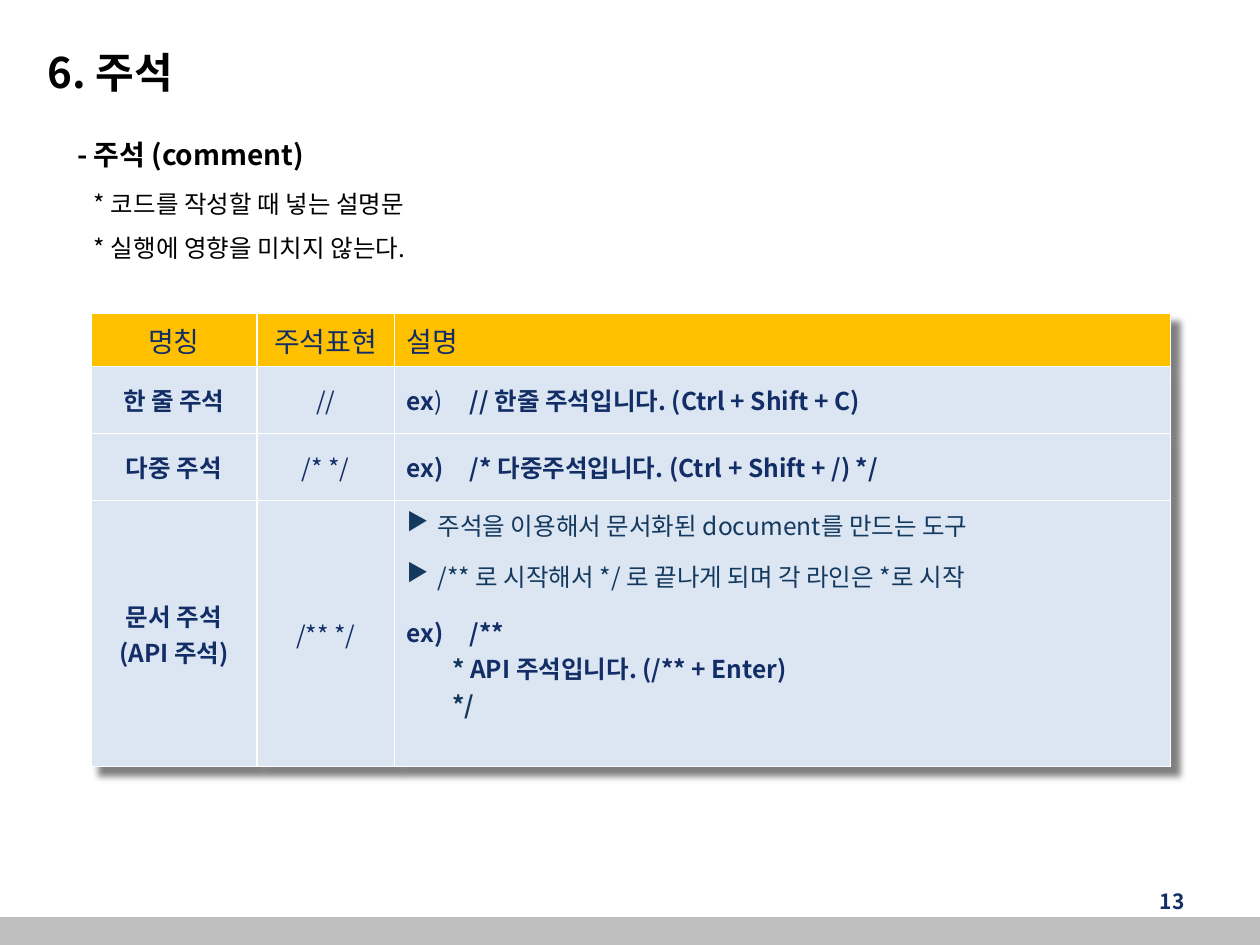
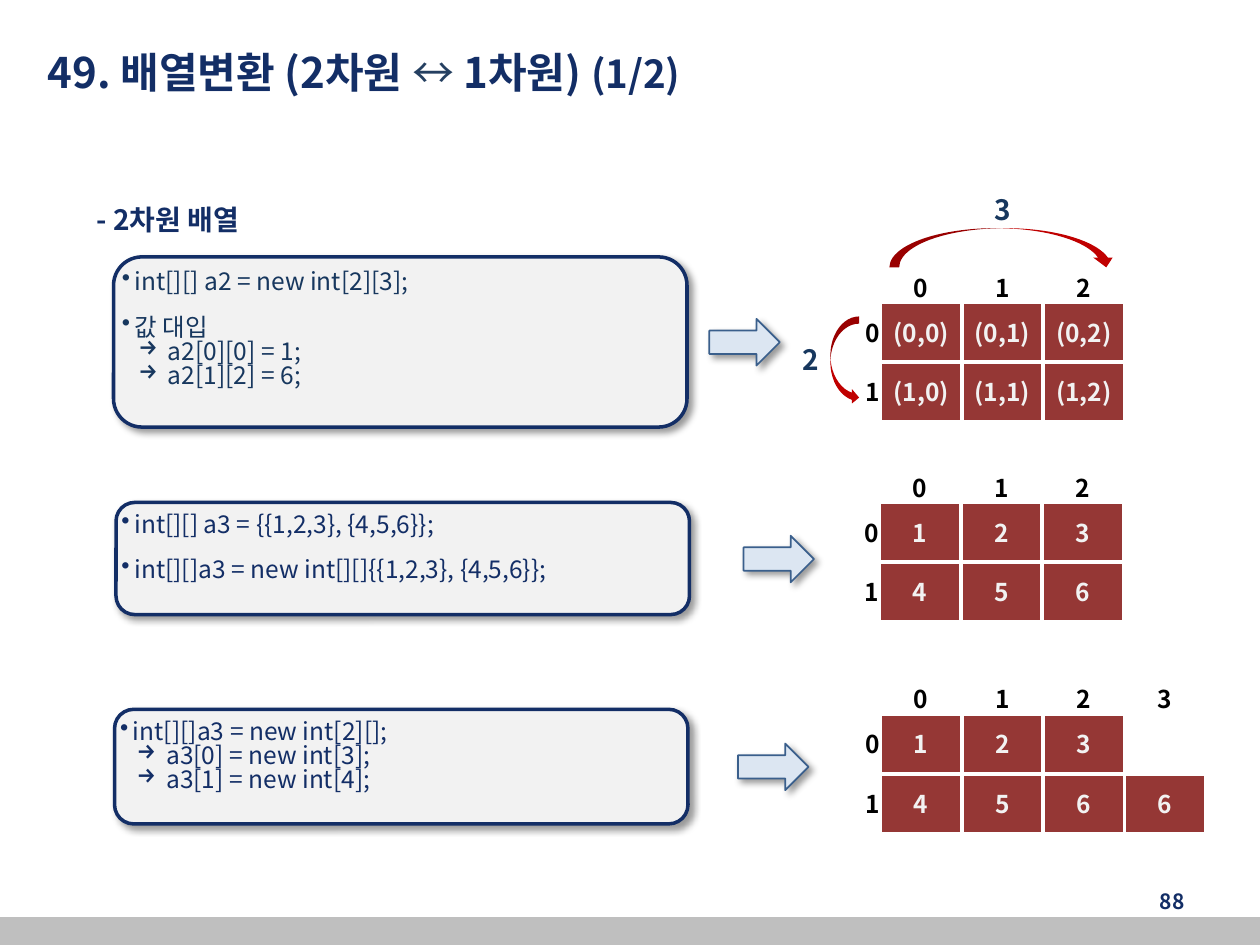
from lxml import etree
from pptx import Presentation, util as u
from pptx.dml import color as dml
from pptx.enum import shapes, text
from pptx.oxml import ns

FONT = "Noto Sans CJK KR"
COLORS = {
    "navy": "132E66", "ink": "17375E", "slate": "14395E", "steel": "254061",
    "black": "000000", "white": "FFFFFF", "pale": "F2F2F2", "band": "BFBFBF",
    "gold": "FFC000", "ice": "DCE6F2", "edge": "3A5F8C", "brick": "953735", "red": "C00000",
}
LEFT, CENTER, RIGHT = text.PP_ALIGN.LEFT, text.PP_ALIGN.CENTER, text.PP_ALIGN.RIGHT
TOP, MIDDLE = text.MSO_ANCHOR.TOP, text.MSO_ANCHOR.MIDDLE
SHAPE = shapes.MSO_SHAPE

BAND = (0, 18.49, 25.4, 0.56)
NUMBER = (18.21, 17.65, 5.92, 1.02)
TITLE = (0.71, 0.33, 18.21, 2.21)

COMMENT_TITLE = [("6. 주석", {"color": "black"})]
COMMENT_BODY = (1.3, 2.72, 22.86, 3.4)
COMMENT_NOTES = [
    {"text": "- 주석 (comment)", "size": 16, "bold": True},
    {"text": "* 코드를 작성할 때 넣는 설명문", "left": 0.34, "before": 12},
    {"text": "* 실행에 영향을 미치지 않는다.", "left": 0.34, "before": 10},
]
TABLE_AT = (1.83, 6.32)
COLUMN_WIDTHS = [3.35, 2.77, 15.65]
ROW_HEIGHTS = [1.07, 1.35, 1.35, 5.36]
EXAMPLE_TAB = 1.07
TOOL_BULLET = {"bullet": "▶", "left": 0.62, "hang": 0.62, "color": "slate", "bold": False}
COMMENT_ROWS = [
    [["명칭"], ["주석표현"], ["설명"]],
    [["한 줄 주석"], ["//"], [
        {"text": [("ex", {}), (")\t", {"bold": False}),
                  ("// 한줄 주석입니다. (Ctrl + Shift + C)", {})], "tab": EXAMPLE_TAB}]],
    [["다중 주석"], ["/* */"], [
        {"text": "ex)\t/* 다중주석입니다. (Ctrl + Shift + /) */", "tab": EXAMPLE_TAB}]],
    [["문서 주석", "(API 주석)"], ["/** */"], [
        {"text": "주석을 이용해서 문서화된 document를 만드는 도구", **TOOL_BULLET},
        {"text": "/** 로 시작해서 */ 로 끝나게 되며 각 라인은 *로 시작", "before": 9, **TOOL_BULLET},
        {"text": "ex)\t/**", "tab": EXAMPLE_TAB, "before": 11.5},
        {"text": [("* ", {"color": "slate"}), ("API 주석입니다. (/** + Enter)", {})], "left": 0.91},
        {"text": "*/", "left": 0.91, "color": "slate"}]],
]

ARRAY_TITLE = [
    ("49. 배열변환 (2차원 ", {}),
    ("↔ ", {"color": "steel", "bold": False}),
    ("1차원) ", {}),
    ("(1/2)", {"size": 22}),
]
ARRAY_HEADING = (1.7, 3.96, 8.41, 0.94)
CELL_WIDTH, CELL_HEIGHT = 1.64, 1.2
ROW_LABEL_WIDTH, COLUMN_LABEL_HEIGHT = 0.43, 0.61
ARROW_SIZE = (1.42, 0.94)
DOT = {"bullet": "•", "left": 0.26, "hang": 0.26}
STEP = {"bullet": "→", "left": 0.93, "hang": 0.59}
ARRAY_EXAMPLES = [
    {"box": (2.29, 5.18, 11.56, 3.43), "arrow": (14.3, 6.43), "grid": (17.75, 6.1), "color": "ink",
     "code": [{"text": "int[][] a2 = new int[2][3];", **DOT},
              {"text": "값 대입", "before": 12, **DOT},
              {"text": "a2[0][0] = 1;", **STEP},
              {"text": "a2[1][2] = 6;", **STEP}],
     "values": [["(0,0)", "(0,1)", "(0,2)"], ["(1,0)", "(1,1)", "(1,2)"]]},
    {"box": (2.34, 10.13, 11.56, 2.26), "arrow": (14.99, 10.8), "grid": (17.73, 10.13), "color": "navy",
     "code": [{"text": "int[][] a3 = {{1,2,3}, {4,5,6}};", **DOT},
              {"text": "int[][]a3 = new int[][]{{1,2,3}, {4,5,6}};", "before": 12, **DOT}],
     "values": [["1", "2", "3"], ["4", "5", "6"]]},
    {"box": (2.31, 14.3, 11.56, 2.31), "arrow": (14.88, 14.99), "grid": (17.75, 14.4), "color": "navy",
     "code": [{"text": "int[][]a3 = new int[2][];", **DOT},
              {"text": "a3[0] = new int[3];", **STEP},
              {"text": "a3[1] = new int[4];", **STEP}],
     "values": [["1", "2", "3"], ["4", "5", "6", "6"]]},
]
SIZE_ARROWS = [
    (SHAPE.CURVED_RIGHT_ARROW, (16.74, 6.38, 0.58, 1.78), "2", (15.93, 6.78, 0.84, 0.94)),
    (SHAPE.CURVED_DOWN_ARROW, (17.93, 4.6, 4.57, 0.79), "3", (19.79, 3.76, 0.84, 0.94)),
]


def rgb(name):
    return dml.RGBColor.from_string(COLORS[name])


def cm(lengths):
    return [u.Cm(length) for length in lengths]


def child(parent, tag, **attributes):
    return etree.SubElement(parent, ns.qn(tag), **attributes)


def style_font(font, size=None, color=None, bold=None):
    if size:
        font.size = u.Pt(size)
    if color:
        font.color.rgb = rgb(color)
    if bold is not None:
        font.bold = bold


def format_para(para, look):
    para.alignment = look.get("align", LEFT)
    para.line_spacing = look.get("line", 1.0)
    para.space_before = u.Pt(look.get("before", 0))
    props = para._p.get_or_add_pPr()
    props.set("marL", str(u.Cm(look.get("left", 0))))
    props.set("indent", str(-u.Cm(look.get("hang", 0))))
    if "bullet" in look:
        child(props, "a:buChar", char=look["bullet"])
    else:
        child(props, "a:buNone")
    if "tab" in look:
        child(child(props, "a:tabLst"), "a:tab", pos=str(u.Cm(look["tab"])), algn="l")
    para.font.name = FONT
    child(para.font._rPr, "a:ea", typeface=FONT)
    style_font(para.font, look["size"], look["color"], look.get("bold", False))


def write(frame, paras, anchor=TOP, insets=None, wrap=True, **shared):
    frame.word_wrap = wrap
    frame.auto_size = text.MSO_AUTO_SIZE.NONE
    frame.vertical_anchor = anchor
    if insets:
        frame.margin_left, frame.margin_top, frame.margin_right, frame.margin_bottom = cm(insets)
    fill_paras(frame, paras, **shared)


def fill_paras(frame, paras, **shared):
    for index, entry in enumerate(paras):
        entry = entry if isinstance(entry, dict) else {"text": entry}
        para = frame.add_paragraph() if index else frame.paragraphs[0]
        format_para(para, {**shared, **entry})
        spans = entry["text"] if isinstance(entry["text"], list) else [(entry["text"], {})]
        for words, look in spans:
            span = para.add_run()
            span.text = words
            style_font(span.font, **look)


def add_label(parent, place, words, **look):
    box = parent.shapes.add_textbox(*cm(place))
    write(box.text_frame, [words], **look)


def add_shadow(effects, blur, distance, opacity):
    shadow = child(effects, "a:outerShdw", blurRad=str(u.Pt(blur)), dist=str(u.Pt(distance)),
                   dir="2700000", algn="tl", rotWithShape="0")
    child(child(shadow, "a:srgbClr", val=COLORS["black"]), "a:alpha", val=str(opacity * 1000))


def draw(parent, kind, place, fill, line=None, line_width=1, shadow=False):
    shape = parent.shapes.add_shape(kind, *cm(place))
    shape.shadow.inherit = False
    shape.fill.solid()
    shape.fill.fore_color.rgb = rgb(fill)
    if line:
        shape.line.color.rgb = rgb(line)
        shape.line.width = u.Pt(line_width)
    else:
        shape.line.fill.background()
    if shadow:
        add_shadow(shape._element.spPr.find(ns.qn("a:effectLst")), 4, 3, 40)
    return shape


def place_holder(holder, place):
    holder.left, holder.top, holder.width, holder.height = cm(place)
    return holder.text_frame


def start_page(deck, layout, title, number):
    page = deck.slides.add_slide(deck.slide_layouts.get_by_name(layout))
    draw(page, SHAPE.RECTANGLE, BAND, "band")
    add_label(page, NUMBER, number, anchor=MIDDLE, align=RIGHT, size=12, color="navy", bold=True)
    write(place_holder(page.shapes.title, TITLE), [{"text": title}], anchor=MIDDLE,
          size=24, color="navy", bold=True)
    return page


def add_comment_table(page):
    size = (sum(COLUMN_WIDTHS), sum(ROW_HEIGHTS))
    table = page.shapes.add_table(len(ROW_HEIGHTS), len(COLUMN_WIDTHS), *cm(TABLE_AT + size)).table
    table.horz_banding = False
    effects = etree.Element(ns.qn("a:effectLst"))
    add_shadow(effects, 4, 7, 50)
    table._tbl.tblPr.insert(0, effects)
    for column, width in zip(table.columns, COLUMN_WIDTHS):
        column.width = u.Cm(width)
    for r, (row, height) in enumerate(zip(COMMENT_ROWS, ROW_HEIGHTS)):
        table.rows[r].height = u.Cm(height)
        for c, paras in enumerate(row):
            cell = table.cell(r, c)
            cell.vertical_anchor = TOP if len(paras) > 2 else MIDDLE
            fill_paras(cell.text_frame, paras, align=LEFT if c == 2 else CENTER,
                       size=14 if r else 16, color="navy", bold=r > 0 and c != 1)
            props = cell._tc.get_or_add_tcPr()
            for side in ("a:lnL", "a:lnR", "a:lnT", "a:lnB"):
                line = child(props, side, w=str(u.Pt(1)))
                child(child(line, "a:solidFill"), "a:srgbClr", val=COLORS["white"])
            cell.fill.solid()
            cell.fill.fore_color.rgb = rgb("ice" if r else "gold")


def add_grid(group, left, top, values):
    look = {"size": 14, "bold": True, "anchor": MIDDLE, "insets": (0, 0, 0, 0), "wrap": False}
    for c in range(max(map(len, values))):
        place = (left + c * CELL_WIDTH, top - COLUMN_LABEL_HEIGHT, CELL_WIDTH, COLUMN_LABEL_HEIGHT)
        add_label(group, place, str(c), align=CENTER, color="black", **look)
    for r, row in enumerate(values):
        y = top + r * CELL_HEIGHT
        place = (left - ROW_LABEL_WIDTH, y, ROW_LABEL_WIDTH, CELL_HEIGHT)
        add_label(group, place, str(r), align=RIGHT, color="black", **look)
        for c, value in enumerate(row):
            place = (left + c * CELL_WIDTH, y, CELL_WIDTH, CELL_HEIGHT)
            cell = draw(group, SHAPE.RECTANGLE, place, "brick", "white", 2)
            write(cell.text_frame, [value], align=CENTER, color="pale", **look)


def add_array_example(page, example):
    group = page.shapes.add_group_shape()
    add_grid(group, *example["grid"], example["values"])
    box = draw(group, SHAPE.ROUNDED_RECTANGLE, example["box"], "pale", "navy", 2, shadow=True)
    write(box.text_frame, example["code"], insets=(0, 0.13, 0, 0.13), size=14,
          color=example["color"], line=0.82)
    draw(group, SHAPE.RIGHT_ARROW, example["arrow"] + ARROW_SIZE, "ice", "edge", shadow=True)


def main():
    deck = Presentation()
    deck.slide_width, deck.slide_height = cm((25.4, 19.05))

    page = start_page(deck, "Title and Content", COMMENT_TITLE, "13")
    write(place_holder(page.placeholders[1], COMMENT_BODY), COMMENT_NOTES,
          size=14, color="black", line=0.9)
    add_comment_table(page)

    page = start_page(deck, "Title Only", ARRAY_TITLE, "88")
    add_label(page, ARRAY_HEADING, "- 2차원 배열", size=16, color="navy", bold=True)
    for example in ARRAY_EXAMPLES:
        add_array_example(page, example)
    for kind, place, count, label_place in SIZE_ARROWS:
        draw(page, kind, place, "red")
        add_label(page, label_place, count, wrap=False, align=CENTER, size=16, color="ink", bold=True)

    deck.save("out.pptx")


if __name__ == "__main__":
    main()
